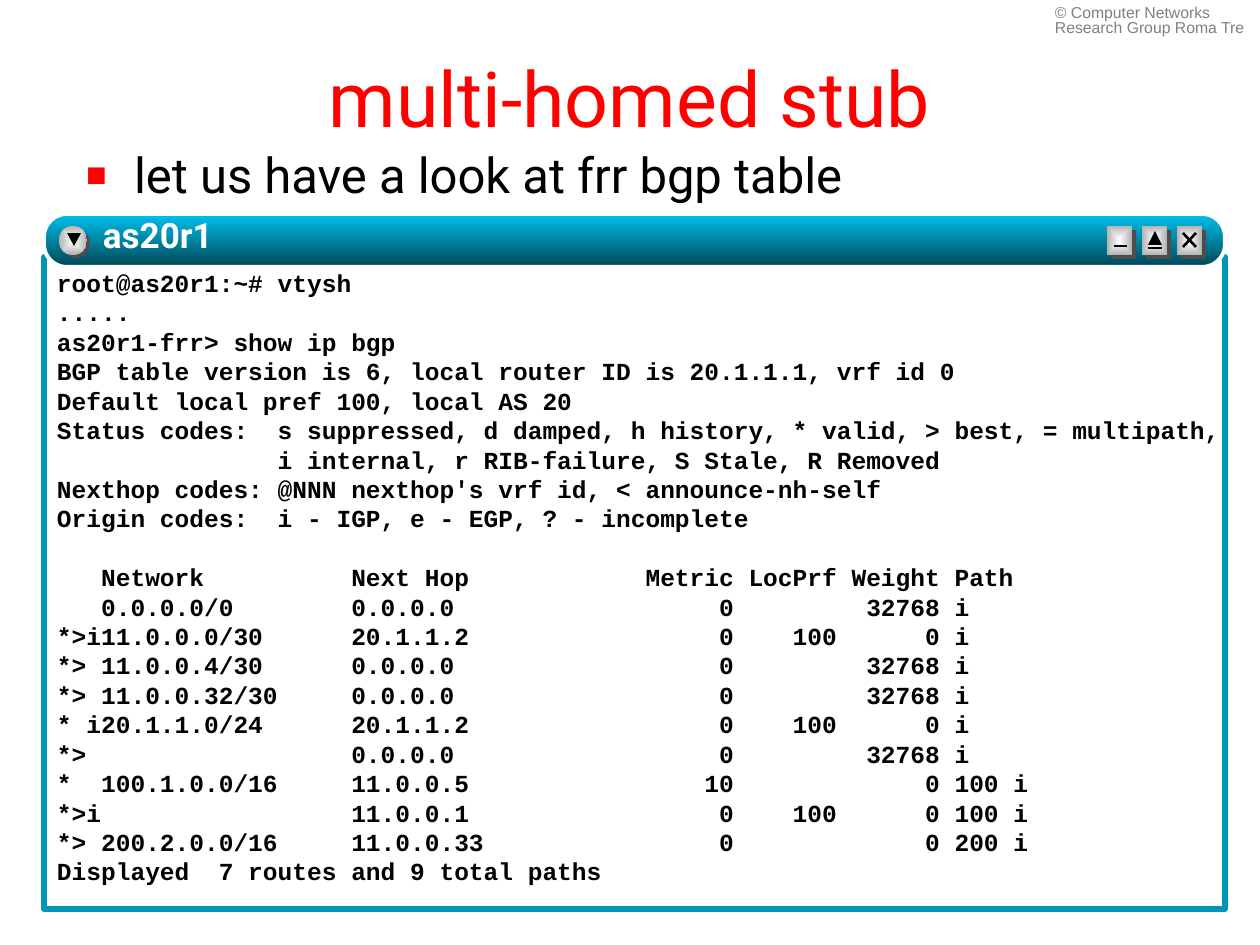
from dataclasses import dataclass
from typing import Any

from lxml.etree import SubElement
from pptx import Presentation
from pptx.dml.color import RGBColor as RGB
from pptx.enum.shapes import MSO_CONNECTOR as CONN, MSO_SHAPE as SHAPE
from pptx.enum.text import MSO_ANCHOR as ANCHOR, MSO_AUTO_SIZE as AUTO, PP_ALIGN as ALIGN
from pptx.oxml import parse_xml
from pptx.oxml.ns import nsdecls, qn
from pptx.util import Emu, Pt

PX = 914400 / 126


@dataclass(frozen=True)
class Theme:
    """Colours, fonts and type sizes."""
    accent: str = "FF0000"
    ink: str = "000000"
    paper: str = "FFFFFF"
    credit: str = "808080"
    frame: str = "0095B8"
    shade: str = "4D4D4D"
    bar: tuple[str, str] = ("00C1EE", "004656")
    metal: tuple[str, str] = ("FFFFFF", "B2B2B2")
    sans: str = "Roboto"
    mono: str = "Courier New"
    small: str = "Arial"
    title_pt: float = 44
    body_pt: float = 28
    caption_pt: float = 20
    code_pt: float = 14
    code_pitch: float = 16.8
    credit_pt: float = 9


@dataclass(frozen=True)
class Box:
    x: int
    y: int
    w: int
    h: int


@dataclass(frozen=True)
class Button:
    box: Box
    kind: Any
    drop: int
    strokes: tuple[tuple[int, int, int, int], ...] = ()
    triangle: Box | None = None
    turn: int = 0


T = Theme()
BUTTON_X, BUTTON_Y, BUTTON_STEP = 1107, 226, 35
BUTTONS = [Button(Box(59, 226, 28, 29), SHAPE.OVAL, 3, (), Box(8, 7, 14, 13), 180)] + [
    Button(Box(BUTTON_X + i * BUTTON_STEP, BUTTON_Y, 25, 29), SHAPE.RECTANGLE, 4, strokes, tri)
    for i, (strokes, tri) in enumerate([
        (((7, 20, 20, 20),), None),
        (((6, 22, 20, 22),), Box(6, 5, 14, 14)),
        (((6, 21, 19, 7), (6, 7, 19, 21)), None),
    ])
]
INTRO = """root@as20r1:~# vtysh
.....
as20r1-frr> show ip bgp
BGP table version is 6, local router ID is 20.1.1.1, vrf id 0
Default local pref 100, local AS 20
Status codes:  s suppressed, d damped, h history, * valid, > best, = multipath,
               i internal, r RIB-failure, S Stale, R Removed
Nexthop codes: @NNN nexthop's vrf id, < announce-nh-self
Origin codes:  i - IGP, e - EGP, ? - incomplete""".split("\n")
ROUTES = """   Network          Next Hop            Metric LocPrf Weight Path
   0.0.0.0/0        0.0.0.0                  0         32768 i
*>i11.0.0.0/30      20.1.1.2                 0    100      0 i
*> 11.0.0.4/30      0.0.0.0                  0         32768 i
*> 11.0.0.32/30     0.0.0.0                  0         32768 i
* i20.1.1.0/24      20.1.1.2                 0    100      0 i
*>                  0.0.0.0                  0         32768 i
*  100.1.0.0/16     11.0.0.5                10             0 100 i
*>i                 11.0.0.1                 0    100      0 100 i
*> 200.2.0.0/16     11.0.0.33                0             0 200 i
Displayed  7 routes and 9 total paths""".split("\n")


def px(n: float) -> Emu:
    """Turn pixels into EMU."""
    return Emu(round(n * PX))


def place(s: Any, box: Box) -> None:
    """Move and size a shape."""
    for name, n in zip(("left", "top", "width", "height"), (box.x, box.y, box.w, box.h)):
        setattr(s, name, px(n))


def frame(s: Any, insets: tuple[int, int, int, int] = (13, 6, 13, 6), **fmt: Any) -> Any:
    """Set the text frame's insets and options."""
    tf = s.text_frame
    sides = dict(zip(("margin_left", "margin_top", "margin_right", "margin_bottom"), map(px, insets)))
    options = {"word_wrap": True, "auto_size": AUTO.NONE, "vertical_anchor": ANCHOR.TOP}
    for name, value in (sides | options | fmt).items():
        setattr(tf, name, value)
    return tf


def write(p: Any, text: str, font: str, size: float, color: str, bold: bool = False, **fmt: Any) -> Any:
    """Fill one paragraph with a formatted run."""
    for name, value in ({"alignment": ALIGN.LEFT, "space_before": Pt(0)} | fmt).items():
        setattr(p, name, value)
    r = p.add_run()
    r.text = text
    for name, value in {"name": font, "size": Pt(size), "bold": bold}.items():
        setattr(r.font, name, value)
    r.font.color.rgb = RGB.from_string(color)
    return r


def bullet(p: Any) -> None:
    """Give a paragraph a square coloured bullet."""
    pPr = p._p.get_or_add_pPr()
    pPr.set("marL", str(px(48)))
    pPr.set("indent", str(-px(48)))
    SubElement(SubElement(pPr, qn("a:buClr")), qn("a:srgbClr")).set("val", T.accent)
    for tag, key, value in (("a:buSzPct", "val", "70000"), ("a:buFont", "typeface", T.small),
                            ("a:buChar", "char", "■")):
        SubElement(pPr, qn(tag)).set(key, value)


def shape(shapes: Any, kind: Any, box: Box, fill: str | tuple[str, str],
          line: tuple[str, float] | None = None) -> Any:
    """Draw a preset shape with a plain or two-colour fill."""
    s = shapes.add_shape(kind, *map(px, (box.x, box.y, box.w, box.h)))
    s.shadow.inherit = False
    if isinstance(fill, str):
        s.fill.solid()
        s.fill.fore_color.rgb = RGB.from_string(fill)
    else:
        s.fill.gradient()
        s.fill.gradient_angle = 270
        for stop, color in zip(s.fill.gradient_stops, fill):
            stop.color.rgb = RGB.from_string(color)
    if line:
        s.line.color.rgb, s.line.width = RGB.from_string(line[0]), Pt(line[1])
    else:
        s.line.fill.background()
    return s


def button(shapes: Any, b: Button) -> None:
    """Draw a raised window button with its glyph."""
    x, y = b.box.x, b.box.y
    shape(shapes, b.kind, Box(x + b.drop, y + b.drop, b.box.w, b.box.h), T.shade)
    face = shape(shapes, b.kind, b.box, T.metal)
    lin = face._element.spPr.find(qn("a:gradFill")).find(qn("a:lin"))
    lin.getparent().replace(lin, parse_xml(
        f'<a:path {nsdecls("a")} path="rect"><a:fillToRect l="50000" t="50000" r="50000" b="50000"/></a:path>'))
    for x1, y1, x2, y2 in b.strokes:
        c = shapes.add_connector(CONN.STRAIGHT, px(x + x1), px(y + y1), px(x + x2), px(y + y2))
        c.line.color.rgb, c.line.width = RGB.from_string(T.ink), Pt(1.5)
        SubElement(c._element.spPr, qn("a:effectLst"))
    if b.triangle:
        t = b.triangle
        s = shape(shapes, SHAPE.ISOSCELES_TRIANGLE, Box(x + t.x, y + t.y, t.w, t.h), T.ink)
        s.rotation = b.turn


def terminal(shapes: Any) -> None:
    """Draw the terminal window with its session."""
    s = shape(shapes, SHAPE.RECTANGLE, Box(44, 257, 1181, 652), T.paper, (T.frame, 3))
    tf = frame(s, (13, 11, 13, 6), word_wrap=False)
    for i, text in enumerate(INTRO + ROUTES):
        p = tf.add_paragraph() if i else tf.paragraphs[0]
        gap = T.code_pitch if i == len(INTRO) else 0
        write(p, text, T.mono, T.code_pt, T.ink, True, line_spacing=Pt(T.code_pitch), space_before=Pt(gap))
    bar = shape(shapes, SHAPE.ROUNDED_RECTANGLE, Box(44, 214, 1181, 53), T.bar, (T.paper, 2.25))
    bar.adjustments[0] = 0.43
    for b in BUTTONS:
        button(shapes, b)
    caption = shapes.add_textbox(*map(px, (103, 214, 325, 53)))
    r = write(frame(caption, (0, 0, 0, 0)).paragraphs[0], "as20r1", T.sans, T.caption_pt, T.paper, True)
    r.font.fill._xPr.find(qn("a:solidFill")).addnext(parse_xml(
        f'<a:effectLst {nsdecls("a")}><a:outerShdw dist="17961" dir="2700000">'
        f'<a:srgbClr val="{T.ink}"/></a:outerShdw></a:effectLst>'))


def main() -> None:
    """Build the slide and save it."""
    prs = Presentation()
    prs.slide_width, prs.slide_height = px(1260), px(945)
    sld = prs.slides.add_slide(prs.slide_layouts[1])
    title, body = sld.placeholders
    place(title, Box(63, 38, 1134, 117))
    write(frame(title, vertical_anchor=ANCHOR.MIDDLE).paragraphs[0], "multi-homed stub",
          T.sans, T.title_pt, T.accent, alignment=ALIGN.CENTER)
    place(body, Box(73, 145, 1144, 66))
    p = frame(body).paragraphs[0]
    bullet(p)
    write(p, "let us have a look at frr bgp table", T.sans, T.body_pt, T.ink, line_spacing=0.9)
    credit = sld.shapes.add_textbox(*map(px, (1042, 0, 218, 45)))
    write(frame(credit).paragraphs[0], "© Computer Networks Research Group Roma Tre",
          T.small, T.credit_pt, T.credit, line_spacing=0.8)
    terminal(sld.shapes.add_group_shape().shapes)
    prs.save("out.pptx")


if __name__ == "__main__":
    main()
